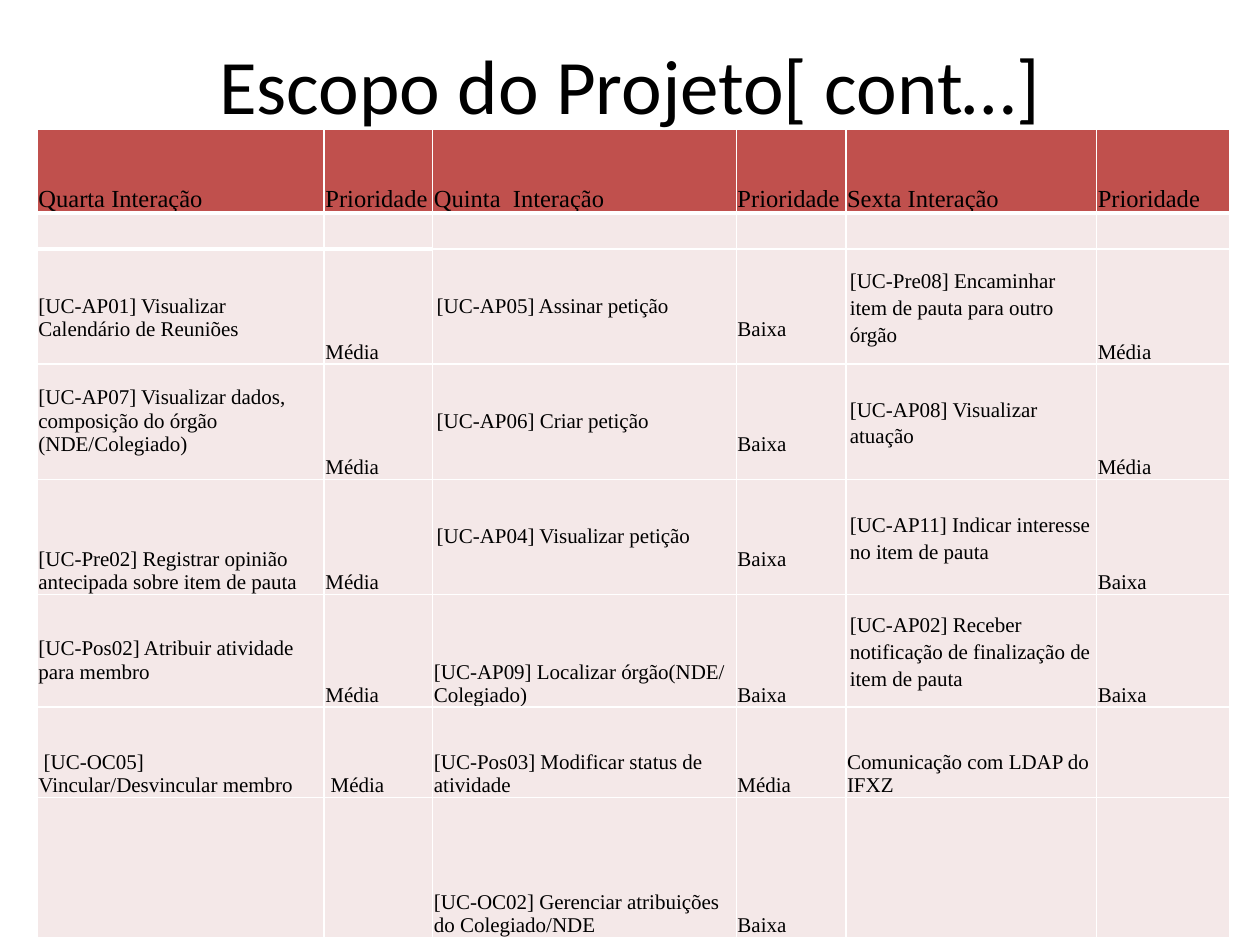
from lxml import etree
from pptx import Presentation
from pptx.dml.color import RGBColor
from pptx.enum.text import MSO_ANCHOR, PP_ALIGN
from pptx.oxml.ns import qn
from pptx.util import Pt

BOTTOM, MIDDLE = MSO_ANCHOR.BOTTOM, MSO_ANCHOR.MIDDLE
CENTER = PP_ALIGN.CENTER

# Content: three iterations, each with a use case and its priority
TITLE = "Escopo do Projeto[ cont…]"
ROWS = [
    ("Quarta Interação", " Prioridade", "Quinta  Interação", "Prioridade",
     "Sexta Interação", "Prioridade"),
    ("", "", "", "", "", ""),
    ("[UC-AP01] Visualizar Calendário de Reuniões", "Média",
     "[UC-AP05] Assinar petição", "Baixa",
     "[UC-Pre08] Encaminhar item de pauta para outro órgão", "Média"),
    ("[UC-AP07] Visualizar dados, composição do órgão (NDE/Colegiado)", "Média",
     "[UC-AP06] Criar petição", "Baixa",
     "[UC-AP08] Visualizar atuação", "Média"),
    ("[UC-Pre02] Registrar opinião antecipada sobre item de pauta", "Média",
     "[UC-AP04] Visualizar petição", "Baixa",
     "[UC-AP11] Indicar interesse no item de pauta", "Baixa"),
    ("[UC-Pos02] Atribuir atividade para membro", "Média",
     "[UC-AP09] Localizar órgão(NDE/ Colegiado)", "Baixa",
     "[UC-AP02] Receber notificação de finalização de item de pauta", "Baixa"),
    (" [UC-OC05] Vincular/Desvincular membro", " Média",
     "[UC-Pos03] Modificar status de atividade", "Média",
     "Comunicação com LDAP do IFXZ", ""),
    ("", "", "[UC-OC02] Gerenciar atribuições do Colegiado/NDE", "Baixa", "", ""),
]

# Layout in points; cells are (row, column)
COLUMN_WIDTHS = [164, 62, 173.5, 62.6, 143.3, 76.3]
ROW_HEIGHTS = [48, 18, 65.8, 65.8, 65.8, 64.4, 51.6, 80]
CENTERED = {(2, 2), (3, 2), (4, 2), (2, 4), (3, 4), (4, 4), (5, 4)}
RAISED = {(2, 0), (3, 0), (5, 0), (2, 3), (3, 3), (4, 3)}
THICK_BELOW = {(0, column) for column in range(6)} | {(1, 0), (1, 1)}
LINE_HEIGHT = 13.3

THEME = {
    "title_font": "Calibri", "table_font": "Times New Roman",
    "title_size": 44, "header_size": 14, "body_size": 12, "empty_size": 18,
    "text": "000000", "header": "C0504D", "body": "F4E8E8", "border": "FFFFFF",
    "thin": 1, "thick": 3,
}


def format_text(paragraph, font_name, size):
    for run in paragraph.runs:
        run.font.name = font_name
        run.font.size = Pt(size)
        run.font.bold = False
        run.font.color.rgb = RGBColor.from_string(THEME["text"])


def set_borders(cell, widths):
    properties = cell._tc.get_or_add_tcPr()
    for index, (side, width) in enumerate(widths.items()):
        line = etree.Element(qn(f"a:ln{side}"), w=str(Pt(width)))
        fill = etree.SubElement(line, qn("a:solidFill"))
        etree.SubElement(fill, qn("a:srgbClr"), val=THEME["border"])
        properties.insert(index, line)


def fill_cell(cell, text, place):
    row, column = place
    header = row == 0
    centered = place in CENTERED
    cell.fill.solid()
    cell.fill.fore_color.rgb = RGBColor.from_string(THEME["header" if header else "body"])
    cell.vertical_anchor = MIDDLE if centered else BOTTOM
    cell.margin_left = cell.margin_right = Pt(2.3 if centered else 0.7)
    cell.margin_top = Pt(7.2 if centered else 0.7)
    cell.margin_bottom = Pt(7.2 if centered else LINE_HEIGHT if place in RAISED else 0)

    paragraph = cell.text_frame.paragraphs[0]
    if text:
        paragraph.text = text
        format_text(paragraph, THEME["table_font"],
                    THEME["header_size" if header else "body_size"])
    else:
        end = etree.SubElement(paragraph._p, qn("a:endParaRPr"),
                               sz=str(THEME["empty_size"] * 100))
        etree.SubElement(end, qn("a:latin"), typeface=THEME["table_font"])
    if centered and column == 4:
        paragraph.line_spacing = 1.15

    thin, thick = THEME["thin"], THEME["thick"]
    set_borders(cell, {
        "L": thin, "R": thin,
        "T": thick if (row - 1, column) in THICK_BELOW else thin,
        "B": thick if place in THICK_BELOW else thin,
    })


presentation = Presentation()
presentation.slide_width, presentation.slide_height = Pt(720), Pt(540)
slide = presentation.slides.add_slide(presentation.slide_layouts[5])

# Title
title = slide.shapes.title
title.left, title.top, title.width, title.height = Pt(36), Pt(21.6), Pt(648), Pt(52)
title.text_frame.text = TITLE
title.text_frame.vertical_anchor = MIDDLE
title.text_frame.paragraphs[0].alignment = CENTER
format_text(title.text_frame.paragraphs[0], THEME["title_font"], THEME["title_size"])

# Scope table
scope = slide.shapes.add_table(
    len(ROWS), len(COLUMN_WIDTHS), Pt(21.3), Pt(73.7),
    Pt(sum(COLUMN_WIDTHS)), Pt(sum(ROW_HEIGHTS))).table
scope.horz_banding = False
for column, width in zip(scope.columns, COLUMN_WIDTHS):
    column.width = Pt(width)
for row, height in zip(scope.rows, ROW_HEIGHTS):
    row.height = Pt(height)
for row_index, texts in enumerate(ROWS):
    for column_index, text in enumerate(texts):
        fill_cell(scope.cell(row_index, column_index), text, (row_index, column_index))

presentation.save("out.pptx")
